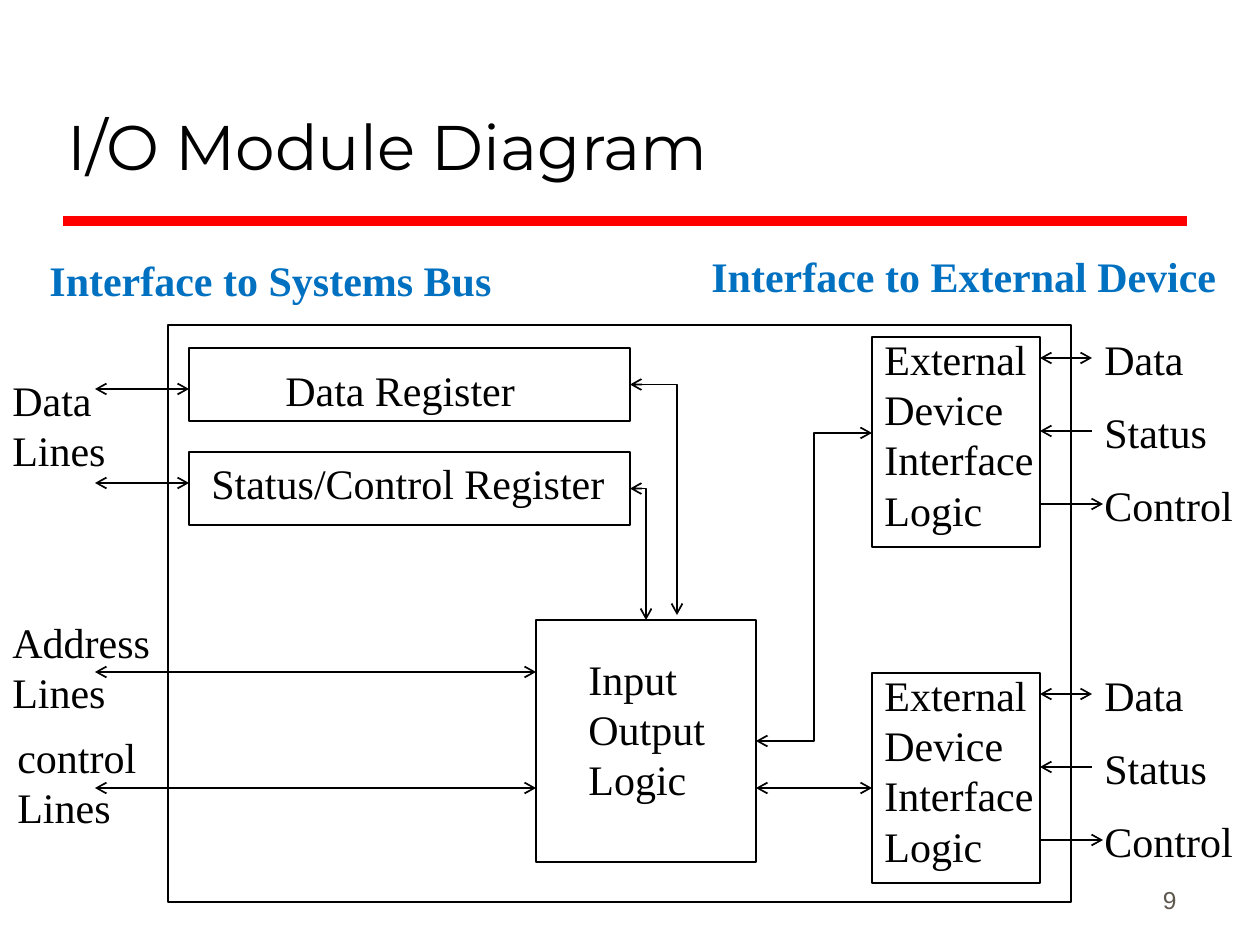
from dataclasses import dataclass

from lxml import etree
from pptx import Presentation
from pptx import util as u
from pptx.dml.color import RGBColor
from pptx.enum import shapes, text
from pptx.oxml import ns

EMU_PER_PX = 914400 / 126
RIGHT, LEFT, TOP = 3, 1, 0


@dataclass(frozen=True)
class Theme:
    """Colours, fonts and type sizes of the slide."""
    ink: str = "000000"
    rule: str = "FF0000"
    heading: str = "0070C0"
    number: str = "5E574E"
    title_font: str = "Montserrat"
    body_font: str = "Times New Roman"
    number_font: str = "Arial"
    title_size: int = 36
    body_size: int = 24
    number_size: int = 14


THEME = Theme()


def px(*lengths):
    """Turn pixel lengths into EMU."""
    return [u.Emu(round(length * EMU_PER_PX)) for length in lengths]


def add_text(slide, lines, box, font=THEME.body_font, size=THEME.body_size,
             color=THEME.ink, bold=False, align=text.PP_ALIGN.LEFT,
             anchor=text.MSO_ANCHOR.TOP, wrap=False):
    """Place a text box with one paragraph per line."""
    frame = slide.shapes.add_textbox(*px(*box)).text_frame
    frame.word_wrap = wrap
    frame.vertical_anchor = anchor
    frame.text = lines
    for paragraph in frame.paragraphs:
        paragraph.alignment = align
        paragraph.font.name = font
        paragraph.font.size = u.Pt(size)
        paragraph.font.bold = bold
        paragraph.font.color.rgb = RGBColor.from_string(color)


def add_box(slide, box):
    """Draw an unfilled outlined rectangle."""
    shape = slide.shapes.add_shape(shapes.MSO_SHAPE.RECTANGLE, *px(*box))
    shape.shadow.inherit = False
    shape.fill.background()
    shape.line.color.rgb = RGBColor.from_string(THEME.ink)
    shape.line.width = u.Pt(1)
    return shape


def add_line(slide, start, end, heads=("headEnd", "tailEnd"), preset="line",
             color=THEME.ink, width=1, begin=None, finish=None):
    """Draw a connector with arrowheads, joined to shapes where given."""
    kind = shapes.MSO_CONNECTOR.STRAIGHT if preset == "line" else shapes.MSO_CONNECTOR.ELBOW
    connector = slide.shapes.add_connector(kind, *px(*start, *end))
    if begin:
        connector.begin_connect(*begin)
    if finish:
        connector.end_connect(*finish)
    connector.line.color.rgb = RGBColor.from_string(color)
    connector.line.width = u.Pt(width)
    properties = connector.element.spPr
    properties.find(ns.qn("a:prstGeom")).set("prst", preset)
    outline = properties.find(ns.qn("a:ln"))
    for head in heads:
        etree.SubElement(outline, ns.qn(f"a:{head}"), type="arrow")
    etree.SubElement(properties, ns.qn("a:effectLst"))


def add_header(slide, left, top, width, height):
    """Place the title and the rule below it."""
    add_text(slide, "I/O Module Diagram", (left - 8, top, width, height),
             font=THEME.title_font, size=THEME.title_size,
             anchor=text.MSO_ANCHOR.BOTTOM, wrap=True)
    rule = top + height + 32
    add_line(slide, (left, rule), (left + 1124, rule), heads=(),
             color=THEME.rule, width=6)


def add_register(slide, name, left, top, text_left, text_top):
    """Place a register with its name and return its rectangle."""
    register = add_box(slide, (left, top, 441, 73))
    add_text(slide, name, (left + text_left, top + text_top, 418, 63))
    return register


def add_device(slide, left, top):
    """Place an external device block with its three signals."""
    width = 168
    device = add_box(slide, (left, top, width, 210))
    add_text(slide, "External\nDevice\nInterface\nLogic", (left, top - 10, 174, 214))
    right = left + width
    signals = (
        ("Data", 52, ("headEnd", "tailEnd")),
        ("Status", 52, ("headEnd",)),
        ("Control", 63, ("tailEnd",)),
    )
    for row, (name, length, heads) in enumerate(signals):
        y = top + 21 + row * 73
        add_line(slide, (right, y), (right + length, y), heads)
        add_text(slide, name, (right + 52, top - 10 + row * 73, 168, 63))
    return device


def add_bus_lines(slide, left, register_left, logic_left):
    """Place the labels and arrows on the system bus side."""
    for name, offset, top in (("Data\nLines", 0, 368), ("Address\nLines", 0, 610),
                              ("control\nLines", 5, 725)):
        add_text(slide, name, (left + offset, top, 164, 114))
    for y, right in ((389, register_left), (483, register_left),
                     (672, logic_left), (788, logic_left)):
        add_line(slide, (right, y), (left + 95, y))


def add_module(slide, left, top, width, height):
    """Place the module frame, its blocks and the links between them."""
    add_box(slide, (left, top, width, height))
    register_left = left + 21
    data = add_register(slide, "Data Register", register_left, top + 23, 84, 10)
    status = add_register(slide, "Status/Control Register", register_left, top + 127, 10, -1)

    logic_left, logic_top = left + 368, top + 295
    logic = add_box(slide, (logic_left, logic_top, 220, 242))
    add_text(slide, "Input\nOutput\nLogic", (logic_left + 40, logic_top + 27, 142, 164))
    logic_right = logic_left + 220

    device_left = left + 704
    for device_top in (top + 12, top + 348):
        add_device(slide, device_left, device_top)

    register_right = register_left + 441
    add_line(slide, (register_right, top + 59), (register_right + 47, logic_top - 5),
             preset="bentConnector2", begin=(data, RIGHT))
    add_line(slide, (register_right, top + 164), (logic_left + 110, logic_top),
             preset="bentConnector2", begin=(status, RIGHT), finish=(logic, TOP))
    add_line(slide, (logic_right, logic_top + 121), (device_left, top + 108),
             preset="bentConnector3", begin=(logic, RIGHT))
    add_line(slide, (logic_right, top + 463), (device_left, top + 463))
    add_bus_lines(slide, 0, register_left, logic_left)


def add_headings(slide, left, top):
    """Place the headings of the two interfaces."""
    style = dict(color=THEME.heading, bold=True)
    add_text(slide, "Interface to Systems Bus", (left, top, 472, 63), **style)
    add_text(slide, "Interface to External Device", (left + 662, top - 4, 546, 63), **style)


def add_page_number(slide, box):
    """Place the page number at the lower right."""
    add_text(slide, "9", box, font=THEME.number_font, size=THEME.number_size,
             color=THEME.number, align=text.PP_ALIGN.RIGHT,
             anchor=text.MSO_ANCHOR.BOTTOM, wrap=True)


def main():
    """Build the slide and save it."""
    presentation = Presentation()
    presentation.slide_width, presentation.slide_height = px(1260, 945)
    slide = presentation.slides.add_slide(presentation.slide_layouts[6])
    add_header(slide, 63, 32, 1130, 157)
    add_module(slide, 168, 325, 903, 577)
    add_headings(slide, 37, 248)
    add_page_number(slide, (927, 858, 262, 63))
    presentation.save("out.pptx")


if __name__ == "__main__":
    main()
